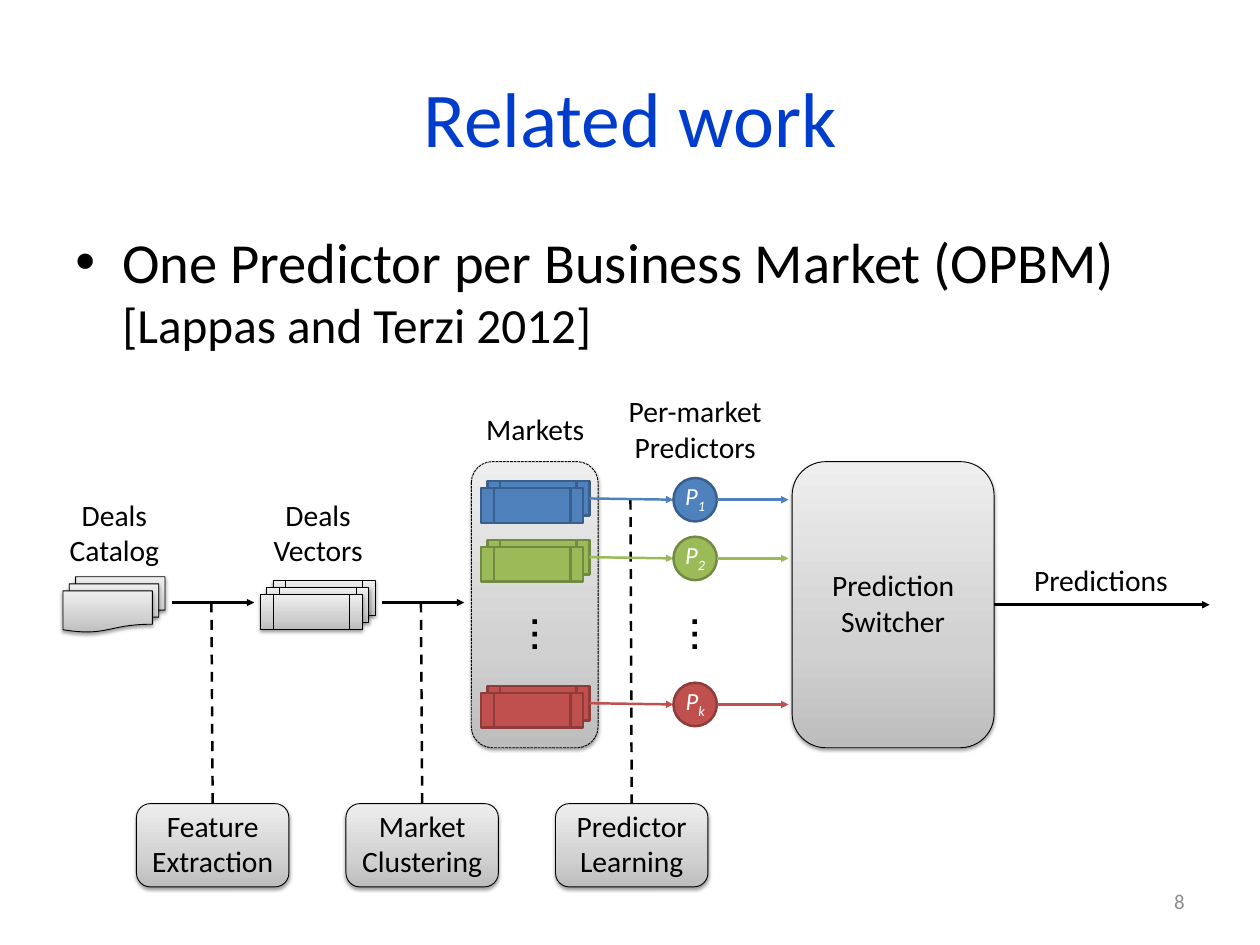
from dataclasses import dataclass

from lxml import etree
from pptx import Presentation
from pptx import util as u
from pptx.dml.color import RGBColor
from pptx.enum import dml, shapes, text
from pptx.oxml import parse_xml
from pptx.oxml.ns import nsdecls, qn


@dataclass(frozen=True)
class Theme:
    font: str = "Calibri"
    dots_font: str = "Cabin"
    title: str = "003DCC"
    ink: str = "000000"
    light: str = "FFFFFF"
    muted: str = "8C8C8C"
    greys: tuple = ((0, "BDBDBD"), (35, "D1D1D1"), (100, "EEEEEE"))
    title_size: int = 63
    body_size: int = 46
    cite_size: int = 40
    dots_size: int = 43
    label_size: int = 24
    predictor_size: int = 20
    number_size: int = 17
    thin: float = 0.75
    thick: float = 2


THEME = Theme()
SHAPE, ALIGN = shapes.MSO_SHAPE, text.PP_ALIGN
MIDDLE = text.MSO_ANCHOR.MIDDLE

# Content; places are in columns and rows of a 100 by 75 grid
TITLE = "Related work"
TOPIC, CITATION = "One Predictor per Business Market (OPBM)", "[Lappas and Terzi 2012]"
SLIDE_NUMBER = "8"
SWITCHER = "Prediction Switcher"
STEPS = [("Feature Extraction", 47.82), ("Market Clustering", 47.82), ("Predictor Learning", 39.66)]
MARKETS = [("1", 39.66, "4F81BD", "3A5F8C"),
           ("2", 44.32, "9BBB59", "738A42"),
           ("k", 55.91, "C0504D", "8E3B39")]
CAPTIONS = [("Markets", (37.48, 32.28, 10, 3.6)),
            ("Per-market Predictors", (47.96, 30.87, 14.42, 6.4)),
            ("Deals Catalog", (4.08, 39.1, 10, 6.4)),
            ("Deals Vectors", (20.25, 39.1, 10, 6.4))]

# Layout
WIDTH, HEIGHT = u.Inches(14.22), u.Inches(10.67)
COLUMNS, ROWS = 100, 75
FLOW_ROW = 47.82
STEP_LEFT, STEP_PITCH, STEP_TOP, STEP_SIZE = 10.83, 16.63, 63.78, (12.1, 6.61)
PANEL_TOP, PANEL_HEIGHT = 36.64, 22.71
SHEET, VECTOR = (7.1, 3.3), (8.09, 2.74)
STACK_SHIFT = (0.5, -0.56)
PREDICTOR_LEFT, PREDICTOR_SIZE = 53.45, 3.45
BOX_INSETS = (0.1, 0, 0.1, 0.05)
HOLDER_INSETS = (0.14, 0.07, 0.14, 0.07)

prs = Presentation()
prs.slide_width, prs.slide_height = WIDTH, HEIGHT
slide = prs.slides.add_slide(prs.slide_layouts[1])


def across(columns):
    return round(WIDTH * columns / COLUMNS)


def down(rows):
    return round(HEIGHT * rows / ROWS)


def frame(left, top, width, height):
    return across(left), down(top), across(width), down(height)


def rgb(color):
    return RGBColor.from_string(color)


def add_run(paragraph, words, size, color=THEME.ink, font=THEME.font):
    run = paragraph.add_run()
    run.text = words
    run.font.size, run.font.name = u.Pt(size), font
    run.font.color.rgb = rgb(color)
    return run


def set_up(shape, insets, anchor=text.MSO_ANCHOR.TOP, align=ALIGN.CENTER):
    """Prepare a shape's text frame and return its first paragraph."""
    body = shape.text_frame
    body.word_wrap, body.auto_size = True, text.MSO_AUTO_SIZE.NONE
    body.vertical_anchor = anchor
    body.margin_left, body.margin_top, body.margin_right, body.margin_bottom = map(u.Inches, insets)
    body.paragraphs[0].alignment = align
    return body.paragraphs[0]


def add_colored(kind, place, fill, outline):
    shape = slide.shapes.add_shape(kind, *frame(*place))
    shape.shadow.inherit = False
    shape.fill.solid()
    shape.fill.fore_color.rgb = rgb(fill)
    shape.line.color.rgb, shape.line.width = rgb(outline), u.Pt(THEME.thick)
    return shape


def add_grey(kind, place, label=None):
    """Add a grey gradient shape with a soft shadow below it."""
    shape = add_colored(kind, place, THEME.light, THEME.ink)
    shape.line.width = u.Pt(THEME.thin)
    stops = "".join(f'<a:gs pos="{at * 1000}"><a:srgbClr val="{color}"/></a:gs>' for at, color in THEME.greys)
    properties = shape.fill._xPr
    properties.replace(properties.find(qn("a:solidFill")), parse_xml(
        f'<a:gradFill {nsdecls("a")} rotWithShape="1"><a:gsLst>{stops}</a:gsLst>'
        '<a:lin ang="16200000" scaled="0"/></a:gradFill>'))
    properties.find(qn("a:effectLst")).append(parse_xml(
        f'<a:outerShdw {nsdecls("a")} blurRad="{u.Pt(3.1)}" dist="{u.Pt(1.6)}" dir="5400000" rotWithShape="0">'
        f'<a:srgbClr val="{THEME.ink}"><a:alpha val="38000"/></a:srgbClr></a:outerShdw>'))
    if label:
        add_run(set_up(shape, BOX_INSETS, MIDDLE), label, THEME.label_size)
    return shape


def add_stack(add, kind, front, count, *colors):
    """Add overlapping shapes from back to front; return the rearmost."""
    left, top, width, height = front
    return [add(kind, (left + i * STACK_SHIFT[0], top + i * STACK_SHIFT[1], width, height), *colors)
            for i in reversed(range(count))][0]


def add_line(start, end, color=THEME.ink, arrow=True):
    line = slide.shapes.add_connector(shapes.MSO_CONNECTOR.STRAIGHT, across(start[0]), down(start[1]),
                                      across(end[0]), down(end[1]))
    line.line.color.rgb, line.line.width = rgb(color), u.Pt(THEME.thick)
    if arrow:
        etree.SubElement(line.line._get_or_add_ln(), qn("a:tailEnd"), type="triangle")
    else:
        line.line.dash_style = dml.MSO_LINE.DASH
    etree.SubElement(line._element.spPr, qn("a:effectLst"))
    return line


def add_caption(words, place):
    box = slide.shapes.add_textbox(*frame(*place))
    add_run(set_up(box, (0.1, 0.05, 0.1, 0.05)), words, THEME.label_size)
    return box


# Title, topic and slide number
title, topic = slide.placeholders
title.left, title.top, title.width, title.height = frame(5, 3, 90, 12.5)
add_run(set_up(title, HOLDER_INSETS, MIDDLE), TITLE, THEME.title_size, THEME.title)
topic.left, topic.top, topic.width, topic.height = frame(5, 17.5, 90, 49.5)
bullet = set_up(topic, HOLDER_INSETS, align=ALIGN.LEFT)
indent = u.Inches(0.53)
bullet_properties = bullet._p.get_or_add_pPr()
bullet_properties.set("marL", str(indent))
bullet_properties.set("indent", str(-indent))
add_run(bullet, TOPIC, THEME.body_size)
bullet.add_line_break()
add_run(bullet, CITATION, THEME.cite_size)
number = slide.shapes.add_textbox(*frame(71.66, 69.55, 23.35, 4))
add_run(set_up(number, HOLDER_INSETS, MIDDLE, ALIGN.RIGHT), SLIDE_NUMBER, THEME.number_size, THEME.muted)

# Catalog, vectors and the two large panels
add_stack(add_grey, SHAPE.FLOWCHART_DOCUMENT, (5, 46.9, *SHEET), 3)
add_stack(add_grey, SHAPE.FLOWCHART_PREDEFINED_PROCESS, (20.68, 47.19, *VECTOR), 3)
switcher = add_grey(SHAPE.ROUNDED_RECTANGLE, (62.87, PANEL_TOP, 16.03, PANEL_HEIGHT), SWITCHER)
market_panel = add_grey(SHAPE.ROUNDED_RECTANGLE, (37.41, PANEL_TOP, 10.06, PANEL_HEIGHT))
market_panel.line.dash_style = dml.MSO_LINE.SQUARE_DOT

# Steps, each hung from the arrow it explains
for i, (step, row) in enumerate(STEPS):
    left = STEP_LEFT + i * STEP_PITCH
    step_box = add_grey(SHAPE.ROUNDED_RECTANGLE, (left, STEP_TOP, *STEP_SIZE), step)
    middle = left + STEP_SIZE[0] / 2
    add_line((middle - 0.1, row), (middle, STEP_TOP), arrow=False).end_connect(step_box, 0)

# One lane per market
for index, row, fill, outline in MARKETS:
    vectors = add_stack(add_colored, SHAPE.FLOWCHART_PREDEFINED_PROCESS, (38.19, row - 0.91, *VECTOR), 2,
                        fill, outline)
    add_line((46.78, row), (PREDICTOR_LEFT, row), fill).begin_connect(vectors, 3)
    predictor = add_colored(SHAPE.OVAL, (PREDICTOR_LEFT, row - PREDICTOR_SIZE / 2, PREDICTOR_SIZE, PREDICTOR_SIZE),
                            fill, outline)
    name = set_up(predictor, (0, 0, 0, 0.05), MIDDLE)
    for part in ("P", index):
        run = add_run(name, part, THEME.predictor_size, THEME.light)
        run.font.italic = True
    run.font._element.set("baseline", "-25000")
    add_line((PREDICTOR_LEFT + PREDICTOR_SIZE, row), (62.59, row), fill)

for left in (39.66, 52.32):
    dots = slide.shapes.add_textbox(*frame(left, 46.34, 5.7, 8.02))
    dots.rotation = 270
    add_run(set_up(dots, (0.1, 0, 0.1, 0.41)), "…", THEME.dots_size, font=THEME.dots_font)

# Flow arrows and captions
for left in (13.64, 30.31):
    add_line((left, FLOW_ROW), (left + 6.54, FLOW_ROW))
switcher_row = PANEL_TOP + PANEL_HEIGHT / 2
add_line((78.9, switcher_row), (96, switcher_row)).begin_connect(switcher, 3)
for words, place in CAPTIONS:
    add_caption(words, place)
add_caption("Predictions", (81.29, 44.23, 12.17, 3.52)).text_frame.word_wrap = False

prs.save("out.pptx")
